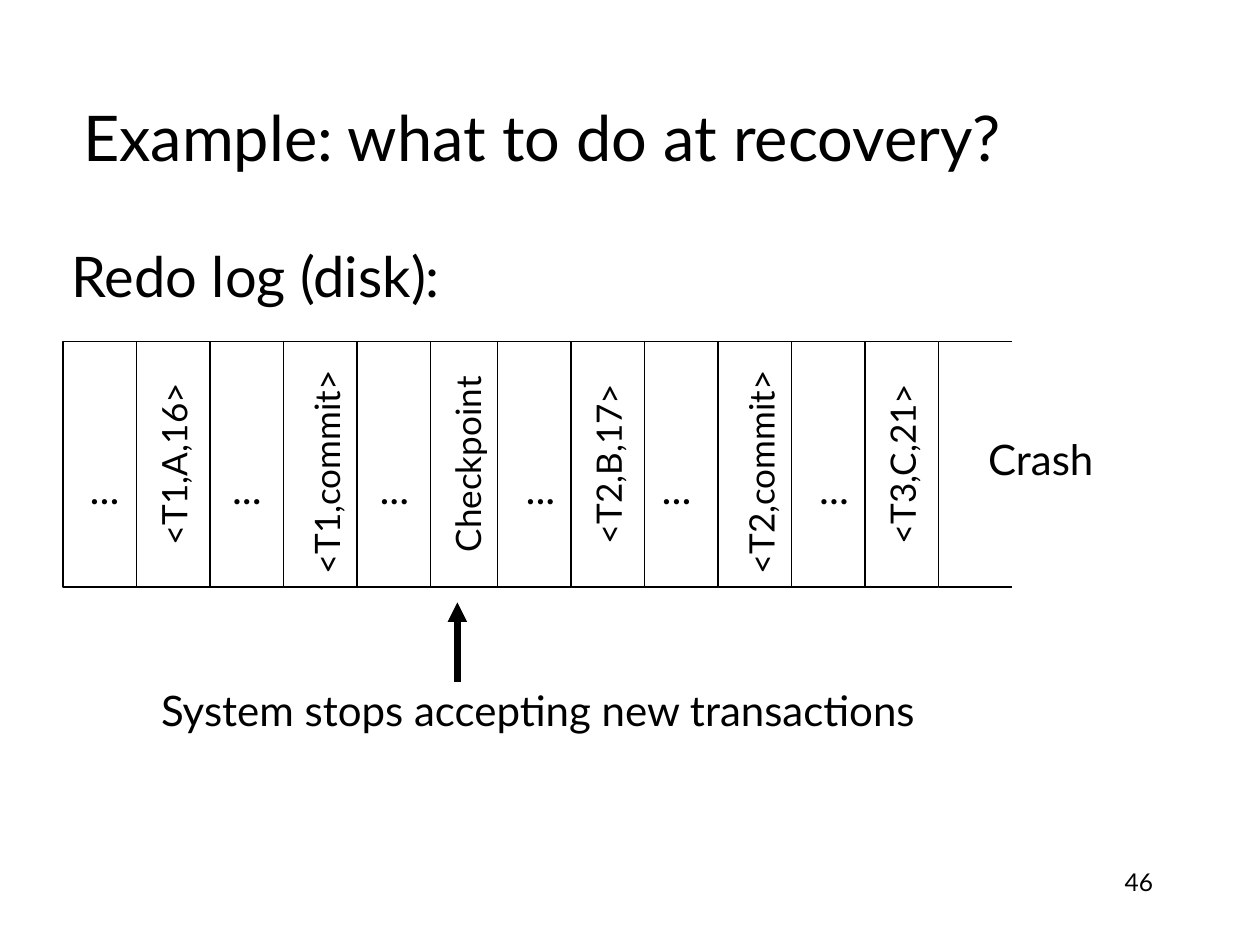
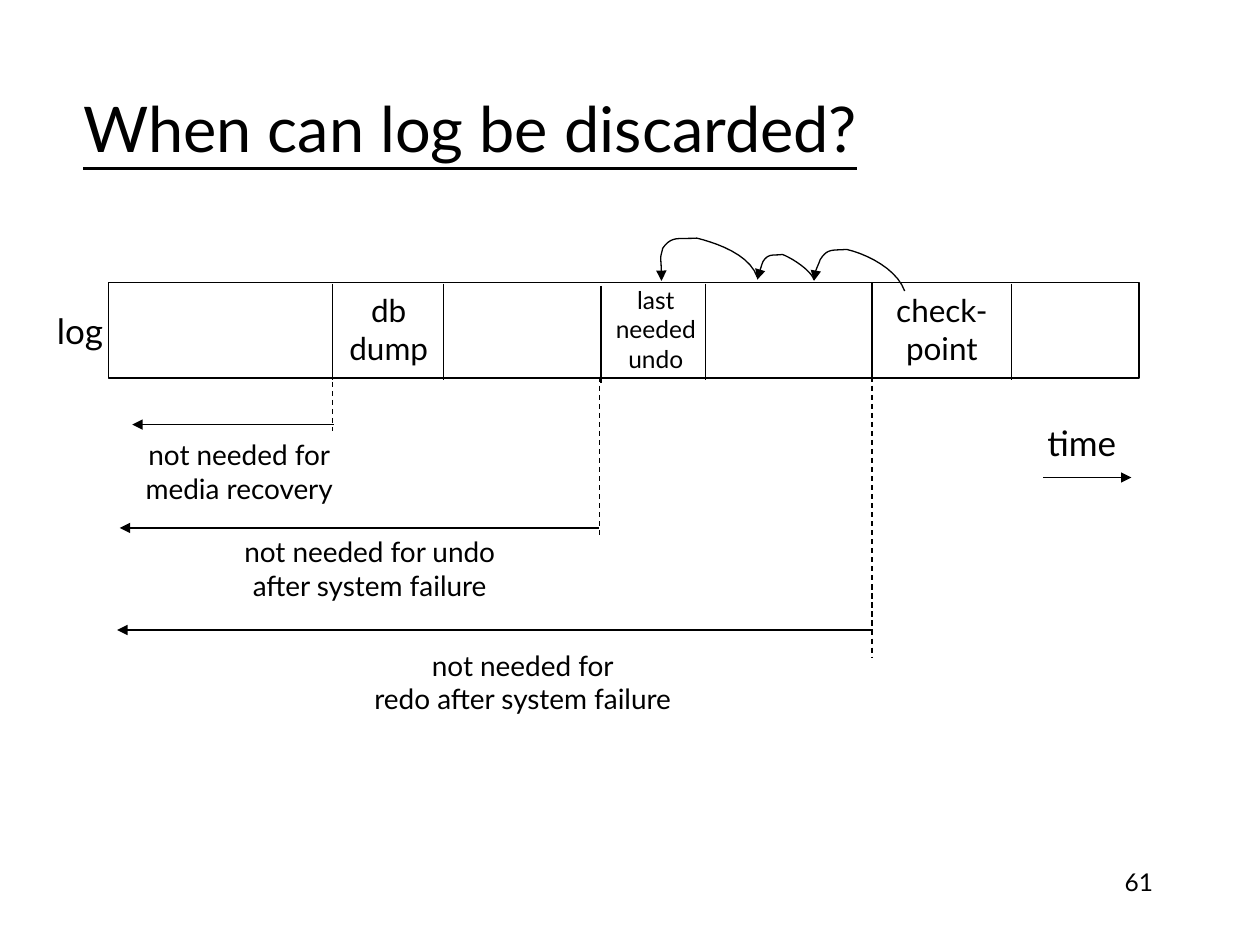
"""Build two slides on redo logs and on discarding a log."""
from dataclasses import dataclass
from itertools import chain

from lxml.etree import SubElement
from pptx import Presentation
from pptx.dml.color import RGBColor
from pptx.enum.dml import MSO_LINE
from pptx.enum.shapes import MSO_CONNECTOR, MSO_SHAPE
from pptx.enum.text import MSO_ANCHOR, MSO_AUTO_SIZE, PP_ALIGN
from pptx.oxml.ns import qn
from pptx.util import Inches, Pt

COLORS = {"ink": "000000", "paper": "FFFFFF"}
INK = RGBColor.from_string(COLORS["ink"])
PAPER = RGBColor.from_string(COLORS["paper"])
FONT = "Lato"
MID, TOP = MSO_ANCHOR.MIDDLE, MSO_ANCHOR.TOP
LEFT, CENTER, RIGHT = PP_ALIGN.LEFT, PP_ALIGN.CENTER, PP_ALIGN.RIGHT


@dataclass
class Box:
    left: float
    top: float
    width: float
    height: float

    def place(self) -> list:
        return [Inches(v) for v in (self.left, self.top, self.width, self.height)]


@dataclass
class Label:
    text: str
    box: Box
    size: int
    align: PP_ALIGN = CENTER
    anchor: MSO_ANCHOR = MID


@dataclass
class Line:
    x1: float
    y1: float
    x2: float
    y2: float
    arrow: bool = False
    dash: bool = False
    width: float = 0.75


def write(frame, text: str, size: int, align: PP_ALIGN, anchor: MSO_ANCHOR) -> None:
    frame.text = text
    frame.word_wrap = True
    frame.auto_size = MSO_AUTO_SIZE.NONE
    frame.vertical_anchor = anchor
    for para in frame.paragraphs:
        para.alignment = align
        para.font.name = FONT
        para.font.size = Pt(size)
        para.font.color.rgb = INK


def add_label(slide, label: Label) -> None:
    frame = slide.shapes.add_textbox(*label.box.place()).text_frame
    write(frame, label.text, label.size, label.align, label.anchor)


def add_rect(slide, box: Box):
    rect = slide.shapes.add_shape(MSO_SHAPE.RECTANGLE, *box.place())
    rect.shadow.inherit = False
    rect.fill.solid()
    rect.fill.fore_color.rgb = PAPER
    stroke(rect)
    return rect


def stroke(shape, width: float = 0.75, arrow: bool = False, dash: bool = False) -> None:
    shape.line.color.rgb = INK
    shape.line.width = Pt(width)
    if dash:
        shape.line.dash_style = MSO_LINE.DASH
    if arrow:
        SubElement(shape.line._get_or_add_ln(), qn("a:tailEnd"), type="triangle")


def add_line(slide, line: Line) -> None:
    ends = [Inches(v) for v in (line.x1, line.y1, line.x2, line.y2)]
    link = slide.shapes.add_connector(MSO_CONNECTOR.STRAIGHT, *ends)
    stroke(link, line.width, line.arrow, line.dash)
    SubElement(link._element.spPr, qn("a:effectLst"))


def bend(knots: list, steps: int = 10) -> list:
    """Sample a chain of cubic curves."""
    points = [knots[0]]
    for i in range(0, len(knots) - 1, 3):
        for n in range(1, steps + 1):
            t = n / steps
            mix = ((1 - t) ** 3, 3 * t * (1 - t) ** 2, 3 * t * t * (1 - t), t ** 3)
            points.append(tuple(
                sum(m * knot[axis] for m, knot in zip(mix, knots[i:i + 4]))
                for axis in (0, 1)))
    return points


def add_curve(slide, knots: list) -> None:
    points = [(Inches(x), Inches(y)) for x, y in bend(knots)]
    build = slide.shapes.build_freeform(*points[0])
    build.add_line_segments(points[1:], close=False)
    curve = build.convert_to_shape()
    curve.shadow.inherit = False
    curve.fill.background()
    stroke(curve, arrow=True)


def add_slide(deck, title: str, box: Box, number: int):
    slide = deck.slides.add_slide(deck.slide_layouts[5])
    head = slide.shapes.title
    head.left, head.top, head.width, head.height = box.place()
    write(head.text_frame, title, 36, LEFT, MID)
    add_label(slide, Label(str(number), Box(7.17, 6.83, 2.08, 0.5), 14, RIGHT, TOP))
    return slide


ENTRIES = (
    (0.5, ("", "<T1,A,16>", "", "<T1,commit>", "", "Checkpoint")),
    (3.95, ("", "<T2,B,17>", "", "<T2,commit>", "", "<T3,C,21>")),
)
PITCH, DEPTH, LOG_TOP = 7 / 12, 1.95, 2.71


def add_entry(slide, left: float, text: str) -> None:
    """Draw a log entry that reads upward."""
    shift = (DEPTH - PITCH) / 2
    rect = add_rect(slide, Box(left - shift, LOG_TOP + shift, DEPTH, PITCH))
    rect.rotation = 270
    if text:
        commit = "commit" in text
        write(rect.text_frame, text, 20, LEFT if commit else CENTER, MID)
        if commit:
            rect.text_frame.margin_top = Inches(0.14)


def recovery(deck) -> None:
    slide = add_slide(deck, "Example: what to do at recovery?",
                      Box(0.56, 0.46, 8.5, 1.25), 46)
    add_label(slide, Label("Redo log (disk):", Box(0.47, 1.87, 8.5, 0.64), 32, LEFT, TOP))
    for start, texts in ENTRIES:
        for i, text in enumerate(texts):
            add_entry(slide, start + i * PITCH, text)
    for y in (LOG_TOP, LOG_TOP + DEPTH):
        add_line(slide, Line(7.45, y, 8.03, y))
    for x in (0.59, 1.72, 2.89, 4.05, 5.13, 6.38):
        add_label(slide, Label("...", Box(x, 3.62, 0.48, 0.5), 24))
    add_label(slide, Label("Crash", Box(7.71, 3.39, 1.1, 0.5), 24))
    add_label(slide, Label("System stops accepting new transactions",
                           Box(1.18, 5.38, 6.63, 0.5), 24, LEFT, TOP))
    add_line(slide, Line(3.63, 5.41, 3.63, 4.78, arrow=True, width=3.75))


MARKS = ((2.64, 2.25), (3.52, 2.25), (4.77, 2.27), (5.6, 2.25), (6.92, 2.24), (8.03, 2.25))
CURVES = (
    [(7.18, 2.31), (7.12, 2.14), (6.89, 2.02), (6.72, 1.98), (6.6, 1.99),
     (6.57, 1.97), (6.51, 2.06), (6.49, 2.12), (6.46, 2.16), (6.46, 2.23)],
    [(6.46, 2.22), (6.44, 2.15), (6.29, 2.05), (6.21, 2.02), (6.14, 2.03),
     (6.1, 2.01), (6.06, 2.07), (6.05, 2.08), (6.03, 2.16), (6.02, 2.18),
     (6.02, 2.2), (6.01, 2.22), (6.01, 2.22)],
    [(6.01, 2.2), (5.95, 2.02), (5.69, 1.93), (5.53, 1.89), (5.38, 1.9),
     (5.33, 1.87), (5.26, 1.97), (5.23, 2.09), (5.25, 2), (5.25, 2.23)],
)
SPANS = (
    Line(2.65, 3.37, 1.05, 3.37, arrow=True),
    Line(4.75, 4.19, 0.95, 4.19, arrow=True),
    Line(6.92, 5, 0.93, 5, arrow=True),
    Line(8.28, 3.79, 8.98, 3.79, arrow=True),
)
DROPS = (
    Line(2.64, 3.03, 2.64, 3.42, dash=True),
    Line(4.76, 2.99, 4.76, 4.27, dash=True),
    Line(6.92, 2.99, 6.92, 5.22, dash=True),
)
LABELS = (
    Label("check-\npoint", Box(7, 2.26, 0.95, 0.7), 18),
    Label("db\ndump", Box(2.64, 2.26, 0.89, 0.7), 18),
    Label("last\nneeded\nundo", Box(4.76, 2.21, 0.89, 0.8), 14),
    Label("not needed for\nmedia recovery", Box(1, 3.42, 1.8, 0.64), 16),
    Label("not needed for undo\nafter system failure", Box(1.76, 4.19, 2.35, 0.64), 16),
    Label("not needed for\nredo after system failure", Box(2.77, 5.09, 2.76, 0.64), 16),
    Label("log", Box(0.33, 2.4, 0.61, 0.44), 20),
    Label("time", Box(8.19, 3.29, 0.79, 0.44), 20),
)


def discard(deck) -> None:
    slide = add_slide(deck, "When can log be discarded?", Box(0.56, 0.53, 8.5, 0.96), 61)
    slide.shapes.title.text_frame.paragraphs[0].font.underline = True
    add_rect(slide, Box(0.86, 2.24, 8.18, 0.76))
    marks = (Line(x, y, x, y + 0.77) for x, y in MARKS)
    for line in chain(marks, SPANS, DROPS):
        add_line(slide, line)
    for knots in CURVES:
        add_curve(slide, knots)
    for label in LABELS:
        add_label(slide, label)


def main() -> None:
    deck = Presentation()
    deck.slide_width, deck.slide_height = Inches(10), Inches(7.5)
    recovery(deck)
    discard(deck)
    deck.save("out.pptx")


if __name__ == "__main__":
    main()
